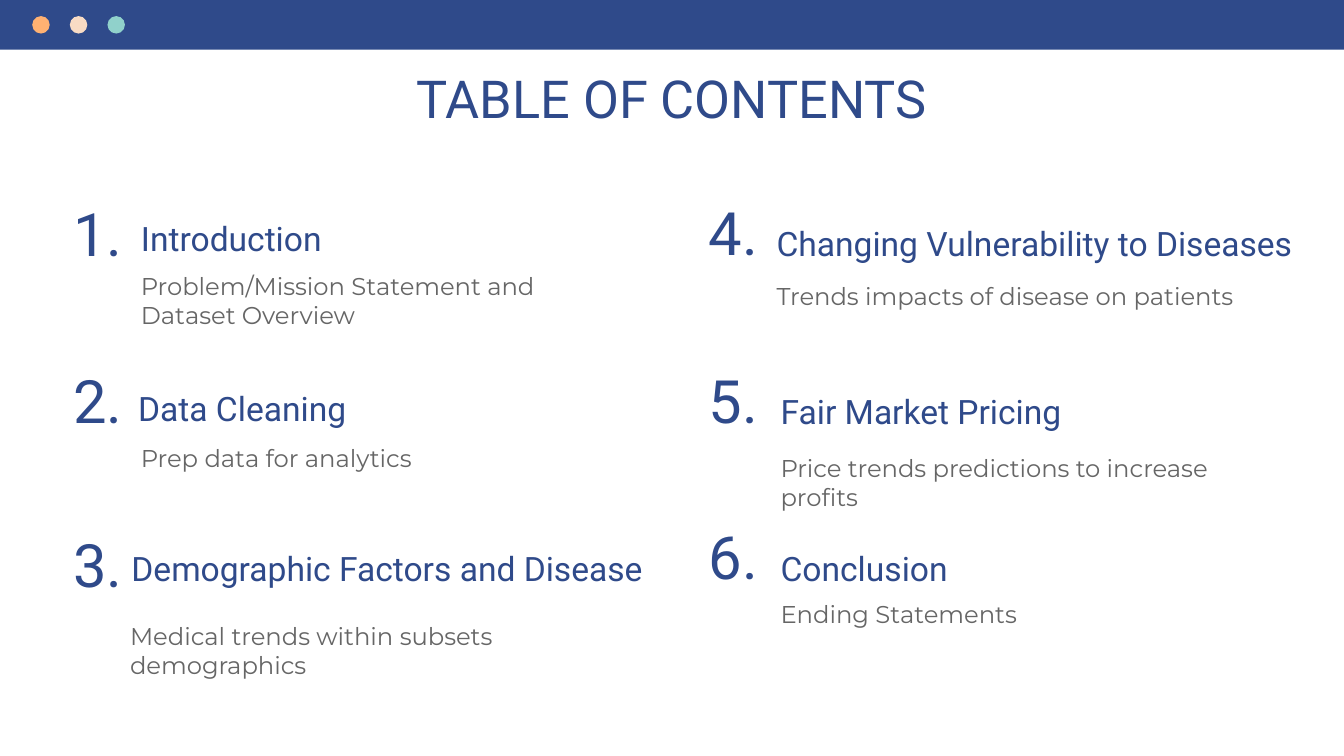
from pptx import Presentation
from pptx.dml.color import RGBColor
from pptx.enum.shapes import MSO_SHAPE
from pptx.enum.text import MSO_ANCHOR, MSO_AUTO_SIZE, PP_ALIGN
from pptx.util import Inches, Pt

RECT, OVAL = MSO_SHAPE.RECTANGLE, MSO_SHAPE.OVAL
TOP, BOTTOM = MSO_ANCHOR.TOP, MSO_ANCHOR.BOTTOM
LEFT, RIGHT = PP_ALIGN.LEFT, PP_ALIGN.RIGHT
FIXED = MSO_AUTO_SIZE.NONE

TITLE_ONLY = 5
WIDTH = Inches(10)
HEIGHT = WIDTH * 9 // 16
NAVY, GREY = "2F4A8A", "666666"
DOTS = ["FFB172", "F8DBC4", "90D1CB"]
NUM_LEFTS = [0.08, 4.81]
ROWS = 3

# Per entry: number top, heading, its (left, top, width), note, its (left, top, width)
ENTRIES = [
    (1.48, "Introduction", (0.95, 1.52, 2.75),
     "Problem/Mission Statement and Dataset Overview", (0.95, 1.92, 3.48)),
    (2.72, "Data Cleaning", (0.93, 2.79, 4.6),
     "Prep data for analytics", (0.95, 3.2, 3.48)),
    (3.94, "Demographic Factors and Disease", (0.88, 3.98, 4.55),
     "Medical trends within subsets demographics", (0.87, 4.52, 3.56)),
    (1.47, "Changing Vulnerability to Diseases", (5.68, 1.56, 4.6),
     "Trends impacts of disease on patients", (5.68, 1.99, 3.71)),
    (2.72, "Fair Market Pricing", (5.71, 2.81, 4.55),
     "Price trends predictions to increase profits", (5.71, 3.27, 3.56)),
    (3.88, "Conclusion", (5.71, 3.98, 6.19),
     "Ending Statements", (5.71, 4.36, 3.2)),
]


def color(code):
    return RGBColor.from_string(code)


def write(shape, text, size, font="Roboto", fill=NAVY, align=LEFT,
          anchor=TOP, after=0):
    frame = shape.text_frame
    frame.word_wrap = True
    frame.auto_size = FIXED
    frame.vertical_anchor = anchor
    frame.margin_left = frame.margin_right = Inches(0.1)
    frame.margin_top = frame.margin_bottom = Inches(0.1)
    para = frame.paragraphs[0]
    para.alignment = align
    para.space_after = Pt(after)
    run = para.add_run()
    run.text = text
    run.font.size = Pt(size)
    run.font.name = font
    run.font.color.rgb = color(fill)


def add_text(slide, text, left, top, width, height, **style):
    box = slide.shapes.add_textbox(Inches(left), Inches(top),
                                   Inches(width), Inches(height))
    write(box, text, **style)


def add_shape(slide, kind, left, top, width, height, fill):
    shape = slide.shapes.add_shape(kind, Inches(left), Inches(top),
                                   Inches(width), Inches(height))
    shape.shadow.inherit = False
    shape.fill.solid()
    shape.fill.fore_color.rgb = color(fill)
    shape.line.fill.background()


def add_title(slide, text):
    title = slide.shapes.title
    title.left, title.top = Inches(3), Inches(0.39)
    title.width, title.height = Inches(4.1), Inches(0.51)
    write(title, text, size=28)


def add_banner(slide):
    add_shape(slide, RECT, 0, 0, 10, 0.37, NAVY)
    for i, fill in enumerate(DOTS):
        add_shape(slide, OVAL, 0.24 + i * 0.28, 0.12, 0.13, 0.13, fill)


def add_entry(slide, index, entry):
    num_top, head, head_at, note, note_at = entry
    add_text(slide, f"{index + 1}.", NUM_LEFTS[index // ROWS], num_top,
             0.93, 0.62, size=32, align=RIGHT, anchor=BOTTOM)
    add_text(slide, head, *head_at, 0.5, size=18)
    add_text(slide, note, *note_at, 0.62, size=13, font="Montserrat",
             fill=GREY, after=12)


def main():
    deck = Presentation()
    deck.slide_width, deck.slide_height = WIDTH, HEIGHT
    slide = deck.slides.add_slide(deck.slide_layouts[TITLE_ONLY])
    add_title(slide, "TABLE OF CONTENTS")
    add_banner(slide)
    for index, entry in enumerate(ENTRIES):
        add_entry(slide, index, entry)
    deck.save("out.pptx")


if __name__ == "__main__":
    main()
